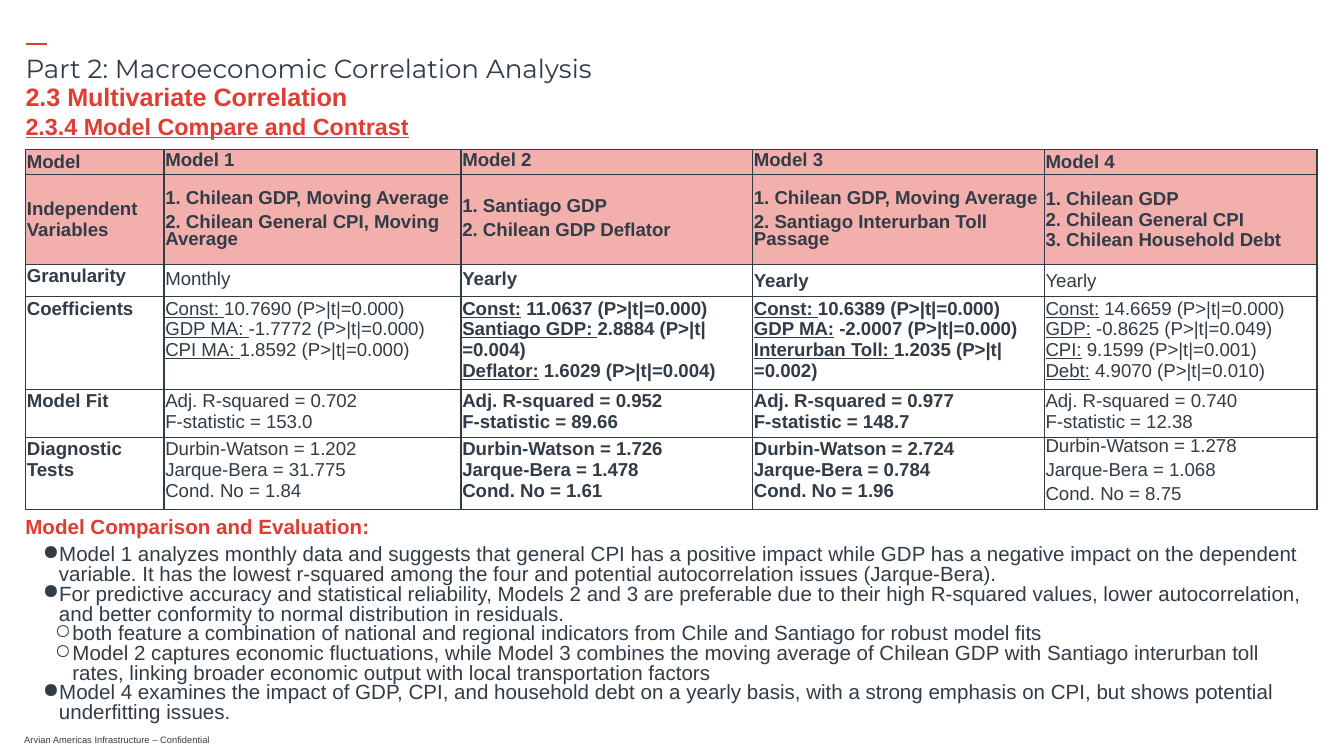
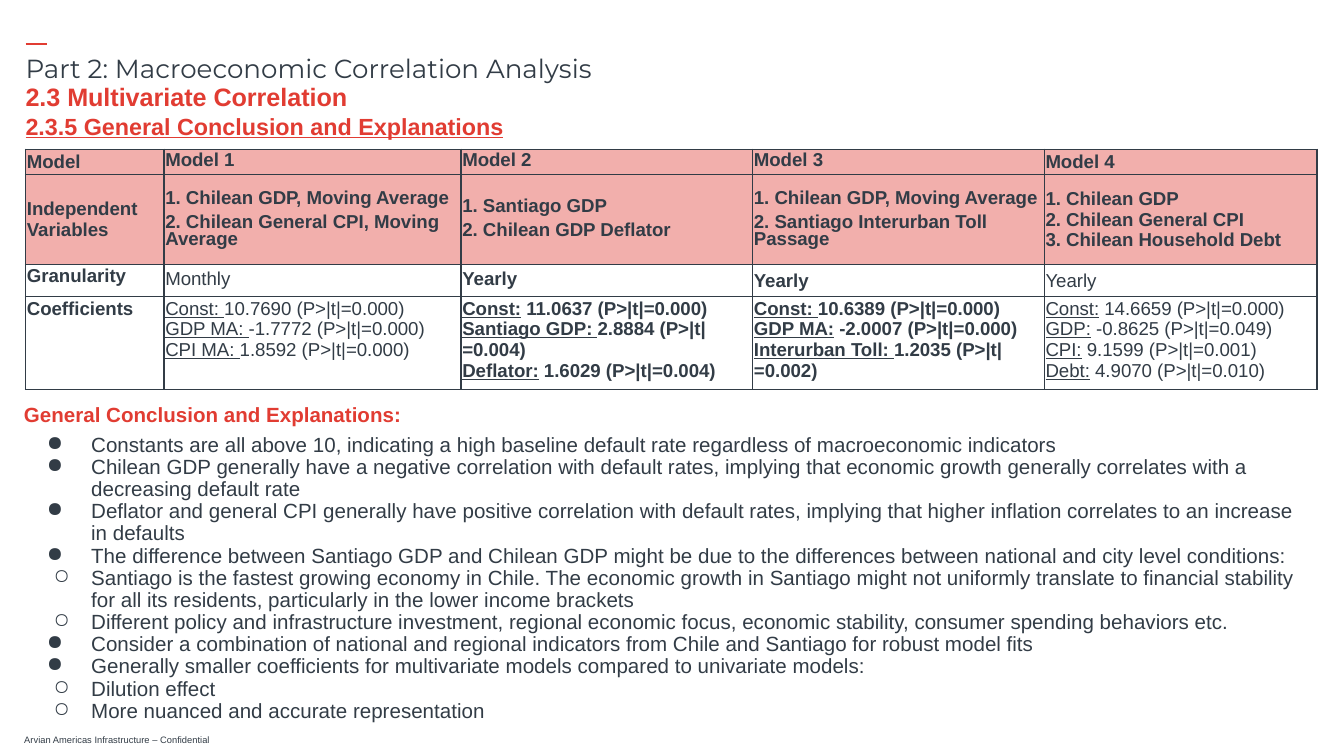
from pptx import Presentation
from pptx.dml.color import RGBColor as RGB
from pptx.enum.shapes import MSO_CONNECTOR as LINE
from pptx.enum.text import MSO_ANCHOR as ANC, MSO_AUTO_SIZE as AUTO
from pptx.oxml.ns import qn
from pptx.util import Pt
from lxml.etree import SubElement as sub

PX = 4572  # 200 px to the inch
INK = {"text": "323C46", "red": "E13C32", "pink": "F2AFAC"}

# Text looks: font attributes plus the ink
FOOT = {"name": "Arial", "size": Pt(5), "ink": "text"}
TITLE = {"name": "Montserrat", "size": Pt(14), "ink": "text"}
PART = {"name": "Arial", "size": Pt(13.5), "bold": True, "ink": "red"}
HEAD = {**PART, "size": Pt(12.5), "underline": True}
LEAD = {**PART, "size": Pt(11)}
BODY = {**LEAD, "bold": False, "ink": "text"}
CELL = {**BODY, "size": Pt(10)}

COLS = [206, 442, 434, 434, 406]
ROWS = [38, 134, 48, 132, 72, 102]
# Underscores enclose underlined labels
MODELS = [
    ["Model", "Model 1", "Model 2", "Model 3", "Model 4"],
    ["Independent Variables",
     "1. Chilean GDP, Moving Average\n2. Chilean General CPI, Moving Average",
     "1. Santiago GDP\n2. Chilean GDP Deflator",
     "1. Chilean GDP, Moving Average\n2. Santiago Interurban Toll Passage",
     "1. Chilean GDP\n2. Chilean General CPI\n3. Chilean Household Debt"],
    ["Granularity", "Monthly", "Yearly", "Yearly", "Yearly"],
    ["Coefficients",
     "_Const: _10.7690 (P>|t|=0.000)\n_GDP MA: _-1.7772 (P>|t|=0.000)\n"
     "_CPI MA: _1.8592 (P>|t|=0.000)",
     "_Const:_ 11.0637 (P>|t|=0.000)\n_Santiago GDP: _2.8884 (P>|t|=0.004)\n"
     "_Deflator:_ 1.6029 (P>|t|=0.004)",
     "_Const: _10.6389 (P>|t|=0.000)\n_GDP MA:_ -2.0007 (P>|t|=0.000)\n"
     "_Interurban Toll: _1.2035 (P>|t|=0.002)",
     "_Const:_ 14.6659 (P>|t|=0.000)\n_GDP:_ -0.8625 (P>|t|=0.049)\n"
     "_CPI:_ 9.1599 (P>|t|=0.001)\n_Debt:_ 4.9070 (P>|t|=0.010)"],
    ["Model Fit",
     "Adj. R-squared = 0.702\nF-statistic = 153.0",
     "Adj. R-squared = 0.952\nF-statistic = 89.66",
     "Adj. R-squared = 0.977\nF-statistic = 148.7",
     "Adj. R-squared = 0.740\nF-statistic = 12.38"],
    ["Diagnostic Tests",
     "Durbin-Watson = 1.202\nJarque-Bera = 31.775\nCond. No = 1.84",
     "Durbin-Watson = 1.726\nJarque-Bera = 1.478\nCond. No = 1.61",
     "Durbin-Watson = 2.724\nJarque-Bera = 0.784\nCond. No = 1.96",
     "Durbin-Watson = 1.278\nJarque-Bera = 1.068\nCond. No = 8.75"],
]

# Points are (level, text); bullets give (mark, left, hang) for each level
PAGES = [
    {"head": "2.3.4 Model Compare and Contrast", "rows": 6,
     "box": (18, 752, 1950, 348), "space": 0.8,
     "bullets": [("●", 50, 24), ("○", 70, 26)],
     "lead": "Model Comparison and Evaluation:",
     "points": [
         (0, "Model 1 analyzes monthly data and suggests that general CPI has a positive impact "
             "while GDP has a negative impact on the dependent variable. It has the lowest "
             "r-squared among the four and potential autocorrelation issues (Jarque-Bera)."),
         (0, "For predictive accuracy and statistical reliability, Models 2 and 3 are preferable "
             "due to their high R-squared values, lower autocorrelation, and better conformity "
             "to normal distribution in residuals."),
         (1, "both feature a combination of national and regional indicators from Chile and "
             "Santiago for robust model fits"),
         (1, "Model 2 captures economic fluctuations, while Model 3 combines the moving average "
             "of Chilean GDP with Santiago interurban toll rates, linking broader economic "
             "output with local transportation factors"),
         (0, "Model 4 examines the impact of GDP, CPI, and household debt on a yearly basis, "
             "with a strong emphasis on CPI, but shows potential underfitting issues."),
     ]},
    {"head": "2.3.5 General Conclusion and Explanations", "rows": 4,
     "box": (16, 586, 1944, 514), "space": 0.9,
     "bullets": [("●", 100, 66), ("○", 100, 56)],
     "lead": "General Conclusion and Explanations:",
     "points": [
         (0, "Constants are all above 10, indicating a high baseline default rate regardless of "
             "macroeconomic indicators"),
         (0, "Chilean GDP generally have a negative correlation with default rates, implying "
             "that economic growth generally correlates with a decreasing default rate"),
         (0, "Deflator and general CPI generally have positive correlation with default rates, "
             "implying that higher inflation correlates to an increase in defaults"),
         (0, "The difference between Santiago GDP and Chilean GDP might be due to the "
             "differences between national and city level conditions:"),
         (1, "Santiago is the fastest growing economy in Chile. The economic growth in Santiago "
             "might not uniformly translate to financial stability for all its residents, "
             "particularly in the lower income brackets"),
         (1, "Different policy and infrastructure investment, regional economic focus, economic "
             "stability, consumer spending behaviors etc."),
         (0, "Consider a combination of national and regional indicators from Chile and "
             "Santiago for robust model fits"),
         (0, "Generally smaller coefficients for multivariate models compared to univariate "
             "models:"),
         (1, "Dilution effect"),
         (1, "More nuanced and accurate representation"),
     ]},
]


def write(par, text, look, **form):
    """Set paragraph formats, then add runs; parts between underscores are underlined."""
    for key, val in form.items():
        setattr(par, key, val)
    for i, part in enumerate(text.split("_")):
        if part:
            run = par.add_run()
            run.text = part
            for key, val in look.items():
                if key == "ink":
                    run.font.color.rgb = RGB.from_string(INK[val])
                else:
                    setattr(run.font, key, val)
            if i % 2:
                run.font.underline = True


def add_box(slide, box, pads, anchor):
    """Add a wrapping text box and return its frame."""
    frame = slide.shapes.add_textbox(*[n * PX for n in box]).text_frame
    frame.word_wrap = True
    frame.vertical_anchor = anchor
    for side, pad in zip(("left", "top", "right", "bottom"), pads):
        setattr(frame, "margin_" + side, pad * PX)
    return frame


deck = Presentation()
deck.slide_width, deck.slide_height = 2000 * PX, 1125 * PX

for page in PAGES:
    slide = deck.slides.add_slide(deck.slide_layouts[6])

    # Footer, red dash and headings
    foot = add_box(slide, (28, 1082, 698, 36), (8, 8, 8, 6), ANC.MIDDLE)
    write(foot.paragraphs[0], "Arvian Americas Infrastructure – Confidential", FOOT)
    dash = slide.shapes.add_connector(LINE.STRAIGHT, 38 * PX, 66 * PX, 70 * PX, 66 * PX)
    dash.line.color.rgb = RGB.from_string(INK["red"])
    dash.line.width = Pt(1)
    sub(dash._element.spPr, qn("a:effectLst"))
    for top, wide, text, look in [
        (74, 1828, "Part 2: Macroeconomic Correlation Analysis", TITLE),
        (116, 940, "2.3 Multivariate Correlation", PART),
        (160, 1482, page["head"], HEAD),
    ]:
        frame = add_box(slide, (38, top, wide, 60), (0, 0, 0, 0), ANC.MIDDLE)
        write(frame.paragraphs[0], text, look, line_spacing=0.9)

    # Model table
    count = page["rows"]
    grid = slide.shapes.add_table(count, len(COLS), 38 * PX, 222 * PX,
                                  sum(COLS) * PX, sum(ROWS[:count]) * PX).table
    grid.first_row = grid.horz_banding = False
    for col, wide in zip(grid.columns, COLS):
        col.width = wide * PX
    for r, texts in enumerate(MODELS[:count]):
        grid.rows[r].height = ROWS[r] * PX
        for c, text in enumerate(texts):
            cell = grid.cell(r, c)
            for side in ("left", "top", "right", "bottom"):
                setattr(cell, "margin_" + side, 2 * PX)
            mid = r < 2 or (r == 2 and c > 0)
            cell.vertical_anchor = ANC.MIDDLE if mid else ANC.TOP
            props = cell._tc.get_or_add_tcPr()
            for edge in ("lnL", "lnR", "lnT", "lnB"):
                line = sub(props, qn("a:" + edge), w=str(Pt(0.75)))
                sub(sub(line, qn("a:solidFill")), qn("a:srgbClr"), val=INK["text"])
            if r < 2:
                cell.fill.solid()
                cell.fill.fore_color.rgb = RGB.from_string(INK["pink"])
            else:
                cell.fill.background()
            look = {**CELL, "bold": r < 2 or c in (0, 2, 3)}
            tight = (r < 3 and c in (1, 2, 3) and (r, c) != (2, 3)) or (r, c) == (5, 4)
            lines = text.split("\n")
            for i, words in enumerate(lines):
                par = cell.text_frame.paragraphs[0] if i == 0 else cell.text_frame.add_paragraph()
                form = {}
                if tight:
                    form["line_spacing"] = 0.8
                    if i:
                        form["space_before"] = Pt(4.1)
                    if i == len(lines) - 1:
                        form["space_after"] = Pt(4.1)
                write(par, words, look, **form)

    # Findings
    frame = add_box(slide, page["box"], (20, 20, 20, 20), ANC.TOP)
    frame.auto_size = AUTO.SHAPE_TO_FIT_TEXT
    write(frame.paragraphs[0], page["lead"], LEAD, line_spacing=0.8)
    for i, (level, text) in enumerate(page["points"]):
        par = frame.add_paragraph()
        mark, left, hang = page["bullets"][level]
        props = par._p.get_or_add_pPr()
        props.set("marL", str(left * PX))
        props.set("indent", str(-hang * PX))
        sub(sub(props, qn("a:buClr")), qn("a:srgbClr"), val=INK["text"])
        sub(props, qn("a:buChar"), char=mark)
        write(par, text, BODY, level=level, line_spacing=page["space"],
              space_before=Pt(0 if i else 4.1))

deck.save("out.pptx")
